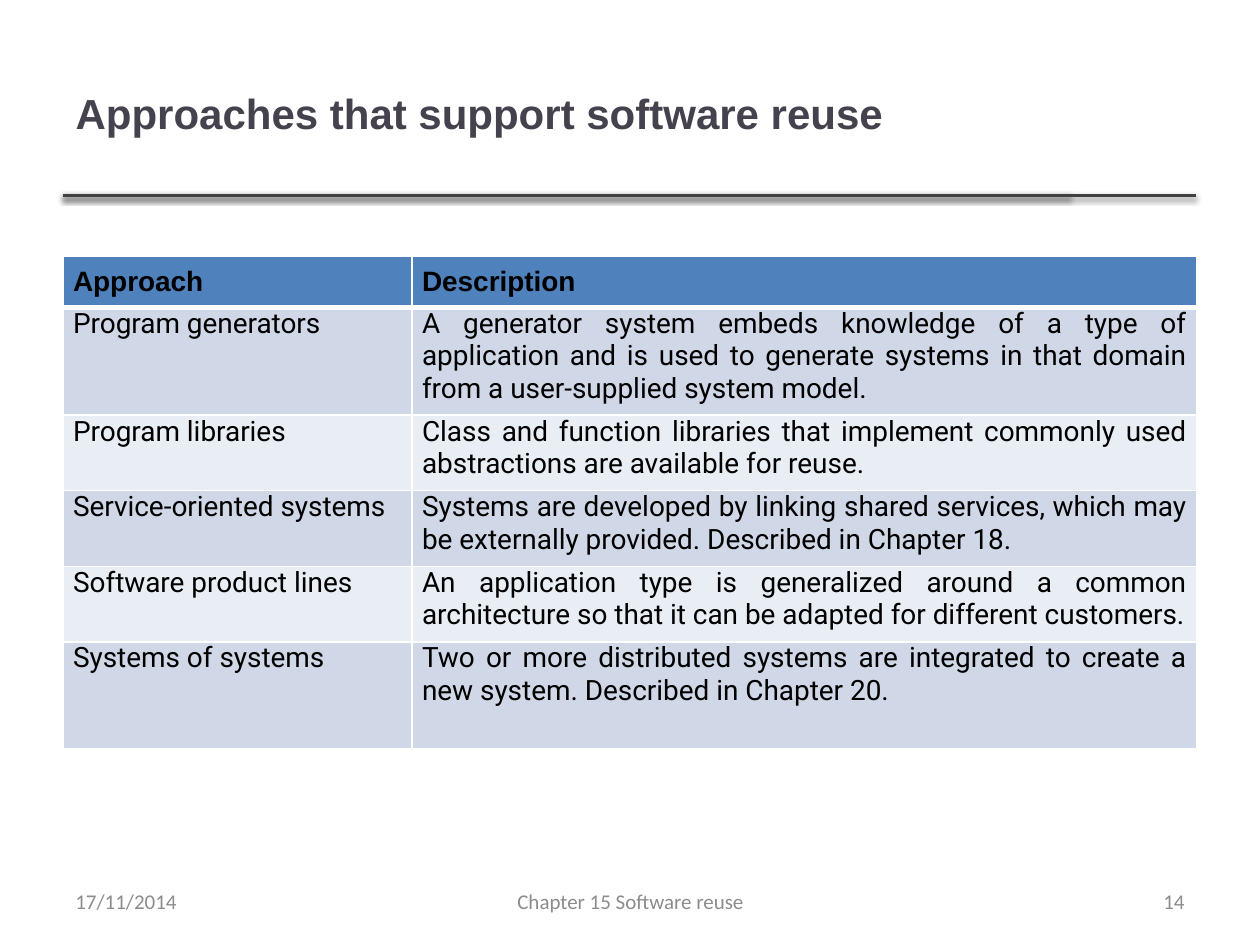
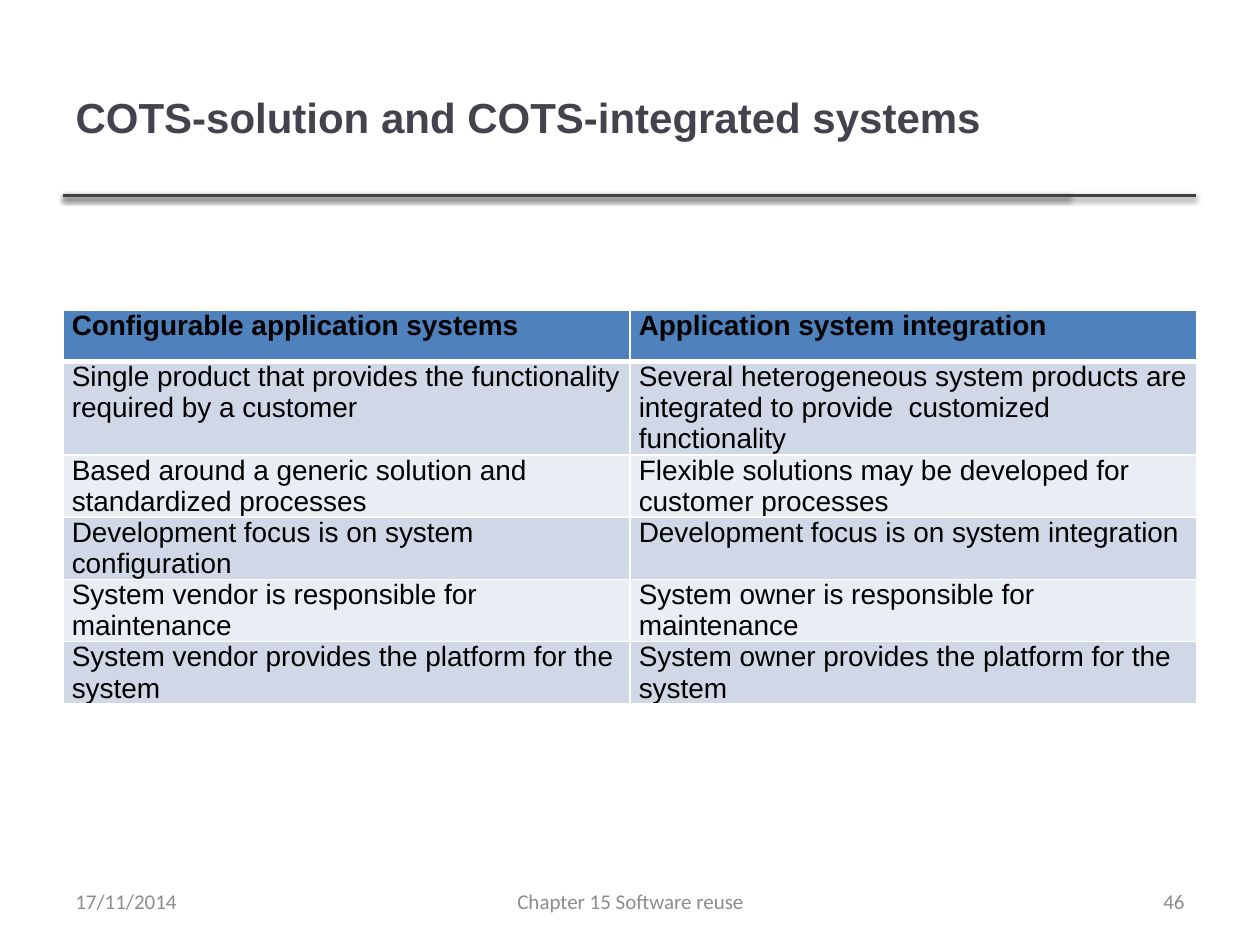
"""Builds two slides on software reuse, each with a title, a ruled line, a table and a footer."""
from lxml import etree
from pptx import Presentation
from pptx.dml.color import RGBColor
from pptx.enum.shapes import MSO_CONNECTOR
from pptx.enum.text import MSO_ANCHOR, MSO_AUTO_SIZE, PP_ALIGN
from pptx.oxml import parse_xml
from pptx.oxml.ns import nsdecls
from pptx.util import Inches, Pt

LEFT, CENTER, RIGHT, JUSTIFY = PP_ALIGN.LEFT, PP_ALIGN.CENTER, PP_ALIGN.RIGHT, PP_ALIGN.JUSTIFY
MIDDLE = MSO_ANCHOR.MIDDLE
NO_AUTO_SIZE = MSO_AUTO_SIZE.NONE
STRAIGHT = MSO_CONNECTOR.STRAIGHT

COLORS = {
    "title": "46424D",
    "rule": "404040",
    "shadow": "000000",
    "text": "000000",
    "footer": "8C8C8C",
    "header": "4F81BD",
    "odd_row": "D0D8E8",
    "even_row": "E9EDF4",
    "border": "FFFFFF",
}
MARGIN = 0.5
CONTENT_WIDTH = 9
RULE_TOP = 1.55
TITLE_HEIGHT = 1.25
HEADER_HEIGHT = 0.41
TITLE_ONLY_LAYOUT = 5

SLIDES = [
    {
        "title": "Approaches that support software reuse",
        "title_top": 0.27,
        "title_width": 9,
        "number": "14",
        "table_top": 2.03,
        "columns": [2.77, 6.23],
        "row_heights": [HEADER_HEIGHT, 0.85, 0.6, 0.6, 0.6, 0.85],
        "side_inset": 0.08,
        "header_top_inset": 0.08,
        "bottom_inset": 0.08,
        "body_font": "Roboto",
        "body_alignments": [LEFT, JUSTIFY],
        "header_spacing": (0, 0),
        "first_row_spacing": (0, 0),
        "body_spacing": (0, 0),
        "rows": [
            ("Approach", "Description"),
            ("Program generators",
             "A generator system embeds knowledge of a type of application and is used to "
             "generate systems in that domain from a user-supplied system model."),
            ("Program libraries",
             "Class and function libraries that implement commonly used abstractions are "
             "available for reuse."),
            ("Service-oriented systems",
             "Systems are developed by linking shared services, which may be externally "
             "provided. Described in Chapter 18."),
            ("Software product lines",
             "An application type is generalized around a common architecture so that it can "
             "be adapted for different customers."),
            ("Systems of systems",
             "Two or more distributed systems are integrated to create a new system. "
             "Described in Chapter 20."),
        ],
    },
    {
        "title": "COTS-solution and COTS-integrated systems",
        "title_top": 0.3,
        "title_width": 7.98,
        "number": "46",
        "table_top": 2.46,
        "columns": [4.5, 4.5],
        "row_heights": [HEADER_HEIGHT, 0.73, 0.49, 0.49, 0.49, 0.49],
        "side_inset": 0.07,
        "header_top_inset": 0,
        "bottom_inset": 0,
        "body_font": "Arial",
        "body_alignments": [LEFT, LEFT],
        "header_spacing": (3, 3),
        "first_row_spacing": (3, 6),
        "body_spacing": (0, 6),
        "rows": [
            ("Configurable application systems", "Application system integration"),
            ("Single product that provides the functionality required by a customer",
             "Several heterogeneous system products are integrated to provide  customized "
             "functionality"),
            ("Based around a generic solution and standardized processes",
             "Flexible solutions may be developed for customer processes"),
            ("Development focus is on system configuration",
             "Development focus is on system integration"),
            ("System vendor is responsible for maintenance",
             "System owner is responsible for maintenance"),
            ("System vendor provides the platform for the system",
             "System owner provides the platform for the system"),
        ],
    },
]


def format_paragraph(paragraph, font_name, size, color, bold=False, alignment=LEFT):
    paragraph.alignment = alignment
    paragraph.font.name = font_name
    paragraph.font.size = Pt(size)
    paragraph.font.bold = bold
    paragraph.font.color.rgb = RGBColor.from_string(COLORS[color])


def set_borders(cell, top, bottom):
    properties = cell._tc.get_or_add_tcPr()
    for side, width in (("L", 1), ("R", 1), ("T", top), ("B", bottom)):
        properties.append(parse_xml(
            f'<a:ln{side} {nsdecls("a")} w="{Pt(width)}"><a:solidFill>'
            f'<a:srgbClr val="{COLORS["border"]}"/></a:solidFill></a:ln{side}>'))


presentation = Presentation()
presentation.slide_width = Inches(10)
presentation.slide_height = Inches(7.5)
layout = presentation.slide_layouts[TITLE_ONLY_LAYOUT]

for content in SLIDES:
    slide = presentation.slides.add_slide(layout)

    for rule_end in (8.49, 9.49):
        rule = slide.shapes.add_connector(
            STRAIGHT, Inches(MARGIN), Inches(RULE_TOP), Inches(rule_end), Inches(RULE_TOP))
        rule.line.color.rgb = RGBColor.from_string(COLORS["rule"])
        rule.line.width = Pt(2)
        effects = parse_xml(
            f'<a:effectLst {nsdecls("a")}><a:outerShdw blurRad="{Pt(3.1)}" dist="{Pt(1.6)}" '
            f'dir="5400000" rotWithShape="0"><a:srgbClr val="{COLORS["shadow"]}">'
            f'<a:alpha val="38000"/></a:srgbClr></a:outerShdw></a:effectLst>')
        rule.element.spPr.append(effects)

    title = slide.shapes.title
    title.left, title.top = Inches(MARGIN), Inches(content["title_top"])
    title.width, title.height = Inches(content["title_width"]), Inches(TITLE_HEIGHT)
    title.text_frame.text = content["title"]
    title.text_frame.vertical_anchor = MIDDLE
    title.text_frame.auto_size = NO_AUTO_SIZE
    format_paragraph(title.text_frame.paragraphs[0], "Arial", 24, "title", bold=True)

    heights = content["row_heights"]
    table = slide.shapes.add_table(
        len(content["rows"]), len(content["columns"]), Inches(MARGIN),
        Inches(content["table_top"]), Inches(CONTENT_WIDTH), Inches(sum(heights))).table
    for column, width in zip(table.columns, content["columns"]):
        column.width = Inches(width)
    for row_index, texts in enumerate(content["rows"]):
        table.rows[row_index].height = Inches(heights[row_index])
        is_header = row_index == 0
        if is_header:
            fill, spacing = "header", content["header_spacing"]
        else:
            fill = "odd_row" if row_index % 2 else "even_row"
            spacing = content["first_row_spacing" if row_index == 1 else "body_spacing"]
        for column_index, text in enumerate(texts):
            cell = table.cell(row_index, column_index)
            cell.text = text
            cell.margin_left = cell.margin_right = Inches(content["side_inset"])
            cell.margin_top = Inches(content["header_top_inset"] if is_header else 0)
            cell.margin_bottom = Inches(content["bottom_inset"])
            set_borders(cell, top=3 if row_index == 1 else 1, bottom=3 if is_header else 1)
            cell.fill.solid()
            cell.fill.fore_color.rgb = RGBColor.from_string(COLORS[fill])
            paragraph = cell.text_frame.paragraphs[0]
            paragraph.space_before, paragraph.space_after = map(Pt, spacing)
            format_paragraph(
                paragraph, "Arial" if is_header else content["body_font"], 16, "text", is_header,
                JUSTIFY if is_header else content["body_alignments"][column_index])

    for text, left, width, alignment in (
        ("Chapter 15 Software reuse", 3.42, 3.17, CENTER),
        (content["number"], 7.17, 2.33, RIGHT),
        ("17/11/2014", MARGIN, 2.33, LEFT),
    ):
        footer = slide.shapes.add_textbox(Inches(left), Inches(6.95), Inches(width), Inches(0.4))
        footer.text_frame.text = text
        footer.text_frame.word_wrap = True
        footer.text_frame.vertical_anchor = MIDDLE
        format_paragraph(
            footer.text_frame.paragraphs[0], "Calibri", 12, "footer", alignment=alignment)

etree.cleanup_namespaces(layout.element)
presentation.save("out.pptx")
